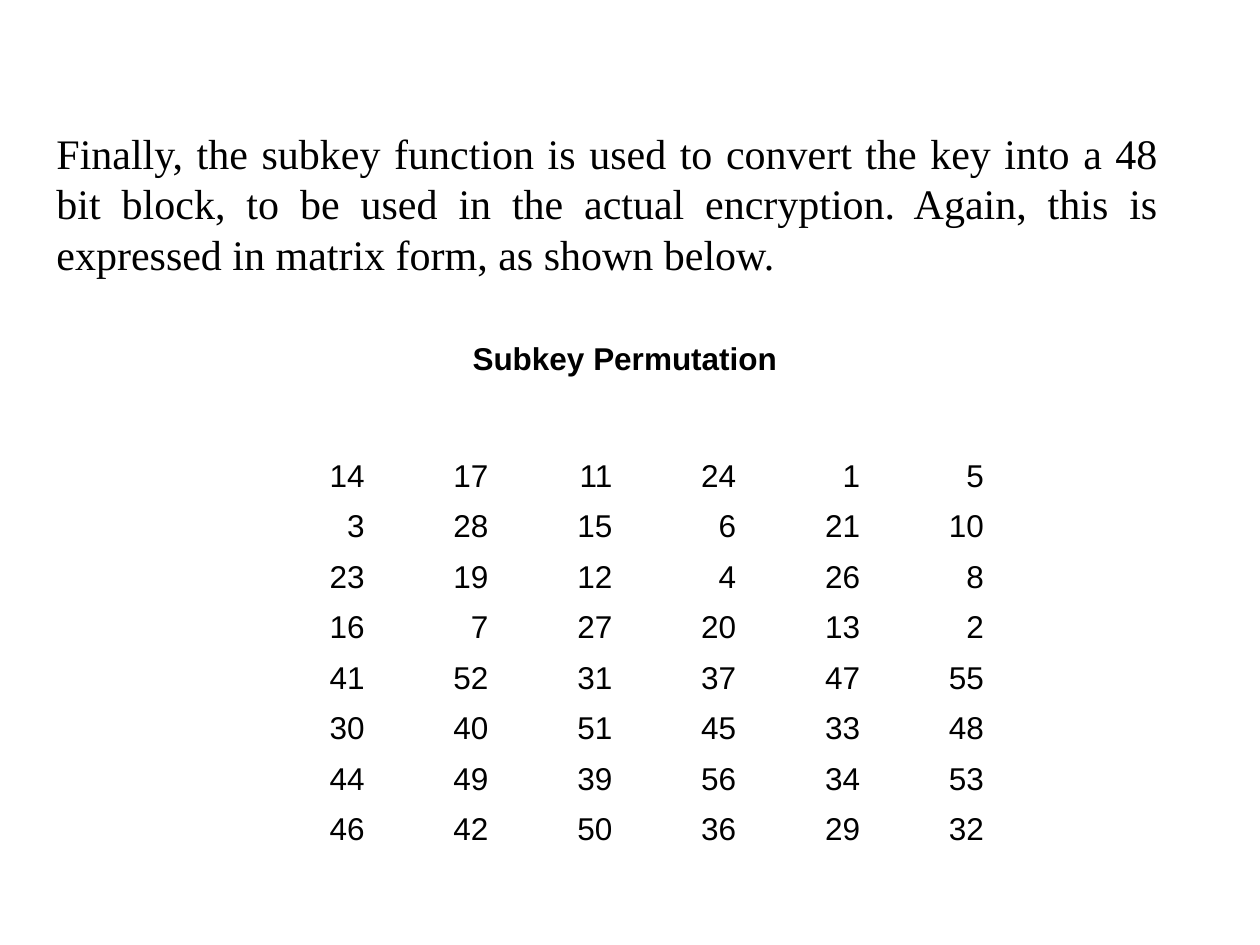
from pptx import Presentation
from pptx.dml.color import RGBColor
from pptx.enum.text import MSO_ANCHOR as Anchor, MSO_AUTO_SIZE as AutoSize, PP_ALIGN as Align
from pptx.util import Pt

COLORS = {"text": "000000", "background": "FFFFFF"}
INTRODUCTION = (
    "Finally, the subkey function is used to convert the key into a 48 bit block, "
    "to be used in the actual encryption. Again, this is expressed in matrix form, "
    "as shown below."
)
HEADING = "Subkey Permutation"
PERMUTATION = [
    [14, 17, 11, 24, 1, 5],
    [3, 28, 15, 6, 21, 10],
    [23, 19, 12, 4, 26, 8],
    [16, 7, 27, 20, 13, 2],
    [41, 52, 31, 37, 47, 55],
    [30, 40, 51, 45, 33, 48],
    [44, 49, 39, 56, 34, 53],
    [46, 42, 50, 36, 29, 32],
]
ROW_HEIGHT = 28.8


def write(paragraph, text, font, size, alignment, bold=False):
    paragraph.alignment = alignment
    run = paragraph.add_run()
    run.text = text
    run.font.name = font
    run.font.size = Pt(size)
    run.font.bold = bold
    run.font.color.rgb = RGBColor.from_string(COLORS["text"])


def add_introduction(slide, left, top, width, height):
    shape = slide.shapes.add_textbox(Pt(left), Pt(top), Pt(width), Pt(height))
    frame = shape.text_frame
    frame.word_wrap = True
    frame.auto_size = AutoSize.SHAPE_TO_FIT_TEXT
    frame.vertical_anchor = Anchor.MIDDLE
    write(frame.paragraphs[0], INTRODUCTION, "Times New Roman", 24, Align.JUSTIFY)


def add_permutation_table(slide, left, top, width, height):
    """Heading row, a taller empty row across the table, then the numbers."""
    row_count, column_count = len(PERMUTATION) + 2, len(PERMUTATION[0])
    table = slide.shapes.add_table(
        row_count, column_count, Pt(left), Pt(top), Pt(width), Pt(height)
    ).table
    table.first_row = table.horz_banding = False
    for column in table.columns:
        column.width = Pt(width / column_count)
    for row in table.rows:
        row.height = Pt(ROW_HEIGHT)
    table.rows[1].height = Pt(height - (row_count - 1) * ROW_HEIGHT)

    for cell in table.iter_cells():
        cell.fill.background()
        cell.vertical_anchor = Anchor.MIDDLE
    for row_index in range(2):
        table.cell(row_index, 0).merge(table.cell(row_index, column_count - 1))

    write(table.cell(0, 0).text_frame.paragraphs[0], HEADING, "Arial", 18, Align.CENTER, bold=True)
    for row_index, numbers in enumerate(PERMUTATION, start=2):
        for column_index, number in enumerate(numbers):
            paragraph = table.cell(row_index, column_index).text_frame.paragraphs[0]
            write(paragraph, str(number), "Arial", 18, Align.RIGHT)


def main():
    presentation = Presentation()
    presentation.slide_width, presentation.slide_height = Pt(720), Pt(540)
    slide = presentation.slides.add_slide(presentation.slide_layouts[6])
    slide.background.fill.solid()
    slide.background.fill.fore_color.rgb = RGBColor.from_string(COLORS["background"])
    add_introduction(slide, 25.2, 69.1, 643.7, 93.6)
    add_permutation_table(slide, 144.7, 190.8, 424.8, 297.4)
    presentation.save("out.pptx")


if __name__ == "__main__":
    main()
